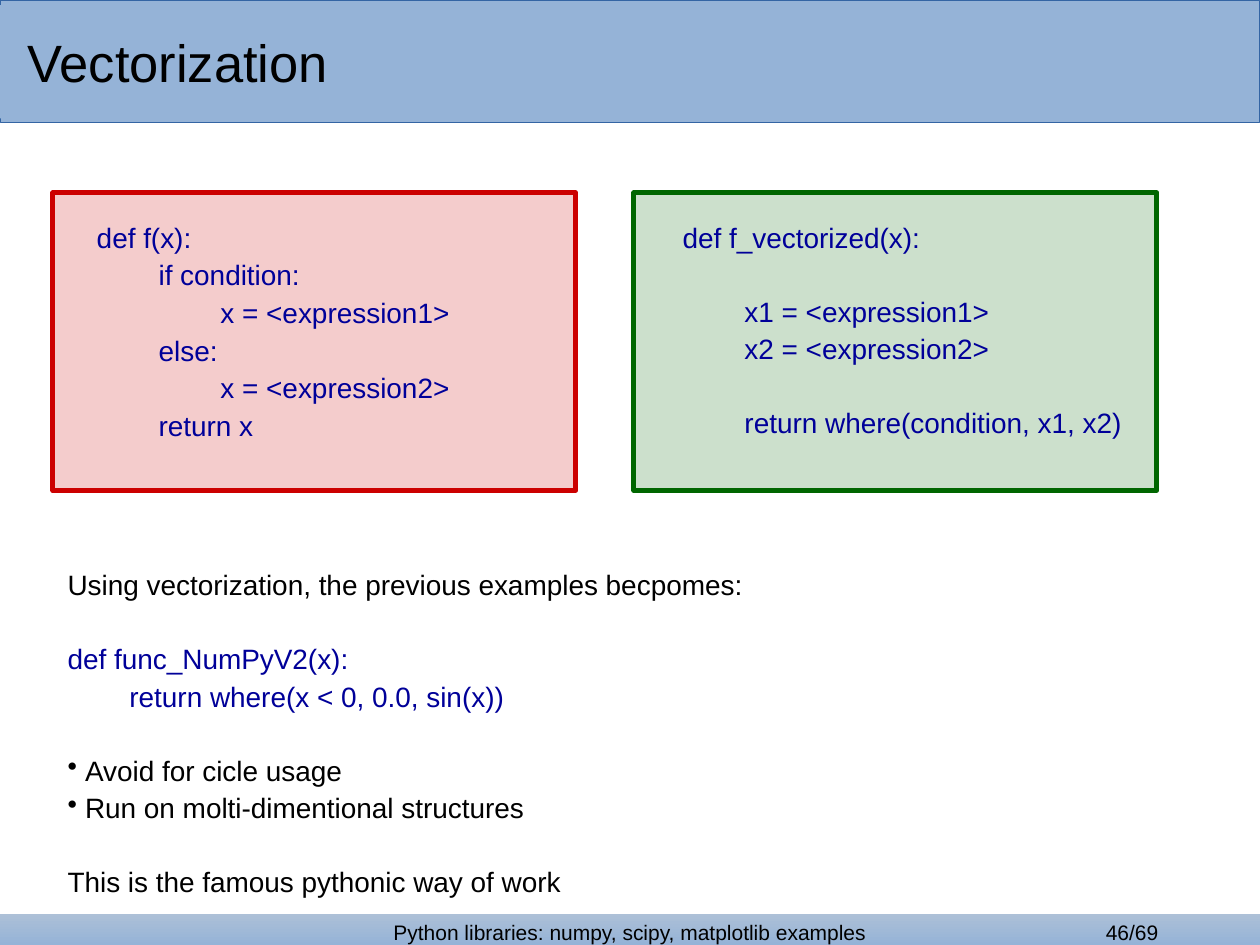
from lxml.etree import SubElement
from pptx import Presentation
from pptx.dml.color import RGBColor
from pptx.enum.shapes import MSO_SHAPE as Preset
from pptx.enum.text import MSO_ANCHOR as Anchor, PP_ALIGN as Align
from pptx.oxml.ns import qn
from pptx.util import Pt

COLORS = {
    "band": "95B3D7", "band_end": "ADC0D7", "band_line": "3465A4",
    "text": "000000", "code": "000099", "loop": "CC0000", "vector": "006600",
}
TITLE = "Vectorization"
FOOTERS = [
    ("Python libraries: numpy, scipy, matplotlib examples", 0, 720),
    ("46/69", 573.8, 146.2),
]
# Each block is one function; a new block starts after a one-line gap.
LOOP_CODE = [[
    "def f(x):",
    "        if condition:",
    "                x = <expression1>",
    "        else:",
    "                x = <expression2>",
    "        return x",
]]
VECTOR_CODE = [
    ["def f_vectorized(x):"],
    ["        x1 = <expression1>", "        x2 = <expression2>"],
    ["        return where(condition, x1, x2)"],
]
PANELS = [
    ("loop", 30.2, 48.2, 328, LOOP_CODE),
    ("vector", 362.2, 383, 337, VECTOR_CODE),
]
NOTES = [
    ("text", False, ["Using vectorization, the previous examples becpomes:"]),
    ("code", False, ["def func_NumPyV2(x):", "        return where(x < 0, 0.0, sin(x))"]),
    ("text", True, ["Avoid for cicle usage", "Run on molti-dimentional structures"]),
    ("text", False, ["This is the famous pythonic way of work"]),
]
LINE_GAP, BLOCK_GAP, BULLET_INDENT = 2.3, 23, 10


def color(name):
    """Return the named colour."""
    return RGBColor.from_string(COLORS[name])


def apply(target, values):
    """Set every attribute in a dict of format values."""
    for name, value in values.items():
        setattr(target, name, value)


def format_font(paragraph, size, color_name="text"):
    """Format the font of a paragraph."""
    apply(paragraph.font, {"name": "Arial", "size": Pt(size)})
    paragraph.font.color.rgb = color(color_name)


def add_rectangle(slide, left, top, width, height, fill, line=None, line_width=0.5):
    """Add a plain rectangle with an optional outline."""
    shape = slide.shapes.add_shape(Preset.RECTANGLE, Pt(left), Pt(top), Pt(width), Pt(height))
    shape.shadow.inherit = False
    shape.fill.solid()
    shape.fill.fore_color.rgb = color(fill)
    if line:
        shape.line.color.rgb = color(line)
        shape.line.width = Pt(line_width)
        SubElement(shape.line._get_or_add_ln(), qn("a:round"))
    else:
        shape.line.fill.background()
    return shape


def add_text_frame(slide, left, top, width, height):
    """Add a wrapping text box and return its frame."""
    frame = slide.shapes.add_textbox(Pt(left), Pt(top), Pt(width), Pt(height)).text_frame
    frame.word_wrap = True
    return frame


def add_bullet(paragraph):
    """Give a paragraph a hanging bullet."""
    properties = paragraph._p.get_or_add_pPr()
    properties.set("marL", str(Pt(BULLET_INDENT)))
    properties.set("indent", str(-Pt(BULLET_INDENT)))
    SubElement(properties, qn("a:buChar"), char="•")


def write_blocks(frame, blocks):
    """Write blocks of lines with a one-line gap between blocks."""
    paragraph = None
    for color_name, bulleted, lines in blocks:
        for index, line in enumerate(lines):
            if paragraph is None:
                paragraph = frame.paragraphs[0]
            else:
                paragraph = frame.add_paragraph()
                paragraph.space_before = Pt(LINE_GAP if index else BLOCK_GAP)
            paragraph.text = line
            if bulleted:
                add_bullet(paragraph)
            format_font(paragraph, 16, color_name)


def add_bands(slide):
    """Add the header and footer bands with the footer texts."""
    add_rectangle(slide, 0, 0, 720, 70, "band", "band_line")
    footer = add_rectangle(slide, 0, 522, 720, 18, "band")
    footer.fill.gradient()
    footer.fill.gradient_angle = 90
    for stop, name in zip(footer.fill.gradient_stops, ("band", "band_end")):
        stop.color.rgb = color(name)
    for text, left, width in FOOTERS:
        paragraph = add_text_frame(slide, left, 522, width, 18).paragraphs[0]
        apply(paragraph, {"text": text, "alignment": Align.CENTER})
        format_font(paragraph, 12)


def add_title(slide):
    """Place the title on top of the header band."""
    title = slide.shapes.title
    apply(title, {"left": 0, "top": Pt(2.9), "width": Pt(601), "height": Pt(64.8)})
    title.fill.solid()
    title.fill.fore_color.rgb = color("band")
    apply(title.text_frame, {"text": TITLE, "vertical_anchor": Anchor.MIDDLE, "margin_left": Pt(15.8)})
    paragraph = title.text_frame.paragraphs[0]
    paragraph.alignment = Align.LEFT
    format_font(paragraph, 30)
    slide.shapes._spTree.append(title._element)


def add_panel(slide, name, left, text_left, text_width, code):
    """Add a tinted, outlined panel with code on it."""
    panel = add_rectangle(slide, left, 110.2, 298.8, 170, name, name, 2.89)
    tint = panel.fill._xPr.find(qn("a:solidFill"))[0]
    SubElement(tint, qn("a:alpha"), val="20000")
    frame = add_text_frame(slide, text_left, 122.4, text_width, 150)
    write_blocks(frame, [("code", False, lines) for lines in code])


def main():
    """Build the vectorization slide."""
    presentation = Presentation()
    apply(presentation, {"slide_width": Pt(720), "slide_height": Pt(540)})
    slide = presentation.slides.add_slide(presentation.slide_layouts[5])
    add_bands(slide)
    add_title(slide)
    for panel in PANELS:
        add_panel(slide, *panel)
    write_blocks(add_text_frame(slide, 31.5, 321, 471.6, 167), NOTES)
    presentation.save("out.pptx")


if __name__ == "__main__":
    main()
